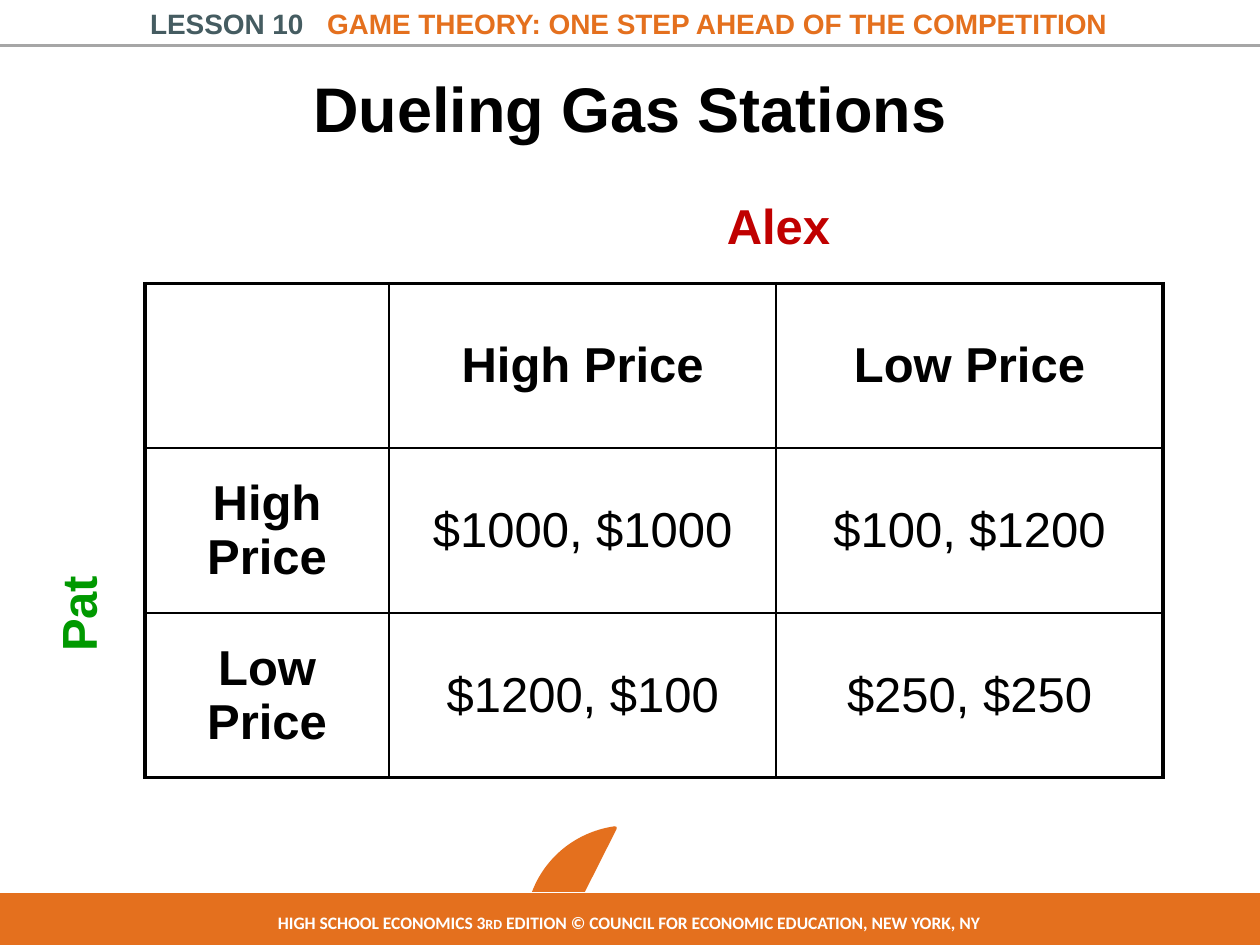
from dataclasses import dataclass
from typing import Optional

from lxml.etree import SubElement
from pptx import Presentation
from pptx.dml.color import RGBColor
from pptx.enum.shapes import MSO_CONNECTOR, MSO_SHAPE
from pptx.enum.text import MSO_ANCHOR as Anchor, PP_ALIGN as Align
from pptx.oxml.ns import qn
from pptx.util import Inches, Pt


@dataclass(frozen=True)
class Theme:
    orange: str = "E4701E"
    slate: str = "455C61"
    grey: str = "A6A6A6"
    red: str = "C00000"
    green: str = "009900"
    black: str = "000000"
    white: str = "FFFFFF"
    head_font: str = "Arial"
    foot_font: str = "Calibri"
    title: int = 36
    body: int = 28
    header: int = 16
    footer: int = 10
    ordinal: int = 8
    thick: float = 2.25
    thin: float = 1


@dataclass(frozen=True)
class Box:
    """Left, top, width and height as shares of the slide's size."""
    x: float
    y: float
    w: float
    h: float

    def emu(self) -> tuple:
        return (int(self.x * W), int(self.y * H), int(self.w * W), int(self.h * H))


@dataclass(frozen=True)
class Piece:
    """A run of text; None takes the paragraph's format."""
    text: str
    color: Optional[str] = None
    size: Optional[int] = None
    spacing: float = 0


@dataclass(frozen=True)
class Label:
    box: Box
    pieces: tuple
    style: dict
    rotation: int = 0


T = Theme()
W, H = Inches(10), Inches(7.5)
HEAD = dict(font=T.head_font, size=T.header, color=T.orange)
FOOT = dict(font=T.foot_font, size=T.footer, color=T.white)
PLAYER = dict(font=T.head_font, size=T.body, wrap=False, align=Align.LEFT)

LABELS = (
    Label(Box(0.095, 0, 0.808, 0.05),
          (Piece("LESSON 10", T.slate), Piece(" ", spacing=8.9),
           Piece("GAME THEORY: ONE STEP AHEAD OF THE COMPETITION")), HEAD),
    Label(Box(0.45, 0.896, 0.1, 0.036), (Piece("10-13"),), FOOT),
    Label(Box(0.128, 0.959, 0.742, 0.036),
          (Piece("HIGH SCHOOL ECONOMICS 3"), Piece("RD", size=T.ordinal),
           Piece(" EDITION © COUNCIL FOR ECONOMIC EDUCATION, NEW YORK, NY")), FOOT),
    Label(Box(0.567, 0.2, 0.102, 0.076), (Piece("Alex", T.red),), PLAYER),
    Label(Box(0.021, 0.611, 0.081, 0.076), (Piece("Pat", T.green),), PLAYER, 270),
)

PAYOFFS = (
    ("", "High Price", "Low Price"),
    ("High Price", "$1000, $1000", "$100, $1200"),
    ("Low Price", "$1200, $100", "$250, $250"),
)
TABLE_BOX = Box(0.115, 0.3, 0.808, 0.523)
COLUMN_SHARES = (0.24, 0.38, 0.38)


def rgb(color: str) -> RGBColor:
    return RGBColor.from_string(color)


def write(tf, *pieces: Piece, font: str = T.head_font, size: int = T.body,
          color: str = T.black, bold: bool = True, wrap: bool = True,
          align: Align = Align.CENTER, anchor: Anchor = Anchor.TOP) -> None:
    tf.word_wrap = wrap
    tf.vertical_anchor = anchor
    p = tf.paragraphs[0]
    p.alignment = align
    for piece in pieces:
        r = p.add_run()
        r.text = piece.text
        r.font.name = font
        r.font.size = Pt(piece.size or size)
        r.font.bold = bold
        r.font.color.rgb = rgb(piece.color or color)
        if piece.spacing:
            r._r.get_or_add_rPr().set("spc", str(int(piece.spacing * 100)))


def add_label(slide, label: Label) -> None:
    sp = slide.shapes.add_textbox(*label.box.emu())
    sp.rotation = label.rotation
    write(sp.text_frame, *label.pieces, **label.style)


def add_block(slide, kind: MSO_SHAPE, box: Box, line: str, width: float):
    sp = slide.shapes.add_shape(kind, *box.emu())
    sp.shadow.inherit = False
    sp.fill.solid()
    sp.fill.fore_color.rgb = rgb(T.orange)
    sp.line.color.rgb = rgb(line)
    sp.line.width = Pt(width)
    return sp


def add_header_rule(slide, y: float) -> None:
    rule = slide.shapes.add_connector(
        MSO_CONNECTOR.STRAIGHT, 0, int(y * H), W, int(y * H))
    rule.line.color.rgb = rgb(T.grey)
    rule.line.width = Pt(2)
    SubElement(rule._element.spPr, qn("a:effectLst"))


def set_borders(cell, **widths: float) -> None:
    """Draw the sides L, R, T and B in black at the given point widths."""
    props = cell._tc.get_or_add_tcPr()
    for i, (side, width) in enumerate(widths.items()):
        ln = props.makeelement(qn(f"a:ln{side}"), {"w": str(int(Pt(width)))})
        fill = SubElement(ln, qn("a:solidFill"))
        SubElement(fill, qn("a:srgbClr"), val=T.black)
        props.insert(i, ln)


def add_payoff_table(slide) -> None:
    last = len(PAYOFFS) - 1
    frame = slide.shapes.add_table(
        len(PAYOFFS), len(COLUMN_SHARES), *TABLE_BOX.emu())
    table = frame.table
    table.first_row = table.horz_banding = False
    for column, share in zip(table.columns, COLUMN_SHARES):
        column.width = int(TABLE_BOX.w * W * share)

    def edge(outer: bool) -> float:
        return T.thick if outer else T.thin

    for i, row in enumerate(PAYOFFS):
        for j, text in enumerate(row):
            cell = table.cell(i, j)
            cell.fill.background()
            cell.vertical_anchor = Anchor.MIDDLE
            set_borders(cell, L=edge(j == 0), R=edge(j == last),
                        T=edge(i == 0), B=edge(i == last))
            if text:
                write(cell.text_frame, Piece(text), bold=i == 0 or j == 0)


def main() -> None:
    prs = Presentation()
    prs.slide_width, prs.slide_height = W, H
    slide = prs.slides.add_slide(prs.slide_layouts[5])

    title = slide.shapes.title
    title.left, title.top, title.width, title.height = Box(0.05, 0.056, 0.9, 0.116).emu()
    write(title.text_frame, Piece("Dueling Gas Stations"), size=T.title,
          anchor=Anchor.MIDDLE)

    add_header_rule(slide, 0.048)
    dome = add_block(slide, MSO_SHAPE.CHORD, Box(0.42, 0.873, 0.162, 0.221), T.orange, 2)
    dome.rotation = 112.5
    for i, degrees in enumerate((39.96, 148.42)):
        dome.adjustments[i] = degrees * 0.6  # 60000 units a degree, over 100000
    add_block(slide, MSO_SHAPE.RECTANGLE, Box(-0.004, 0.944, 1.006, 0.056), T.white, 0.25)

    add_payoff_table(slide)
    for label in LABELS:
        add_label(slide, label)
    prs.save("out.pptx")


if __name__ == "__main__":
    main()
